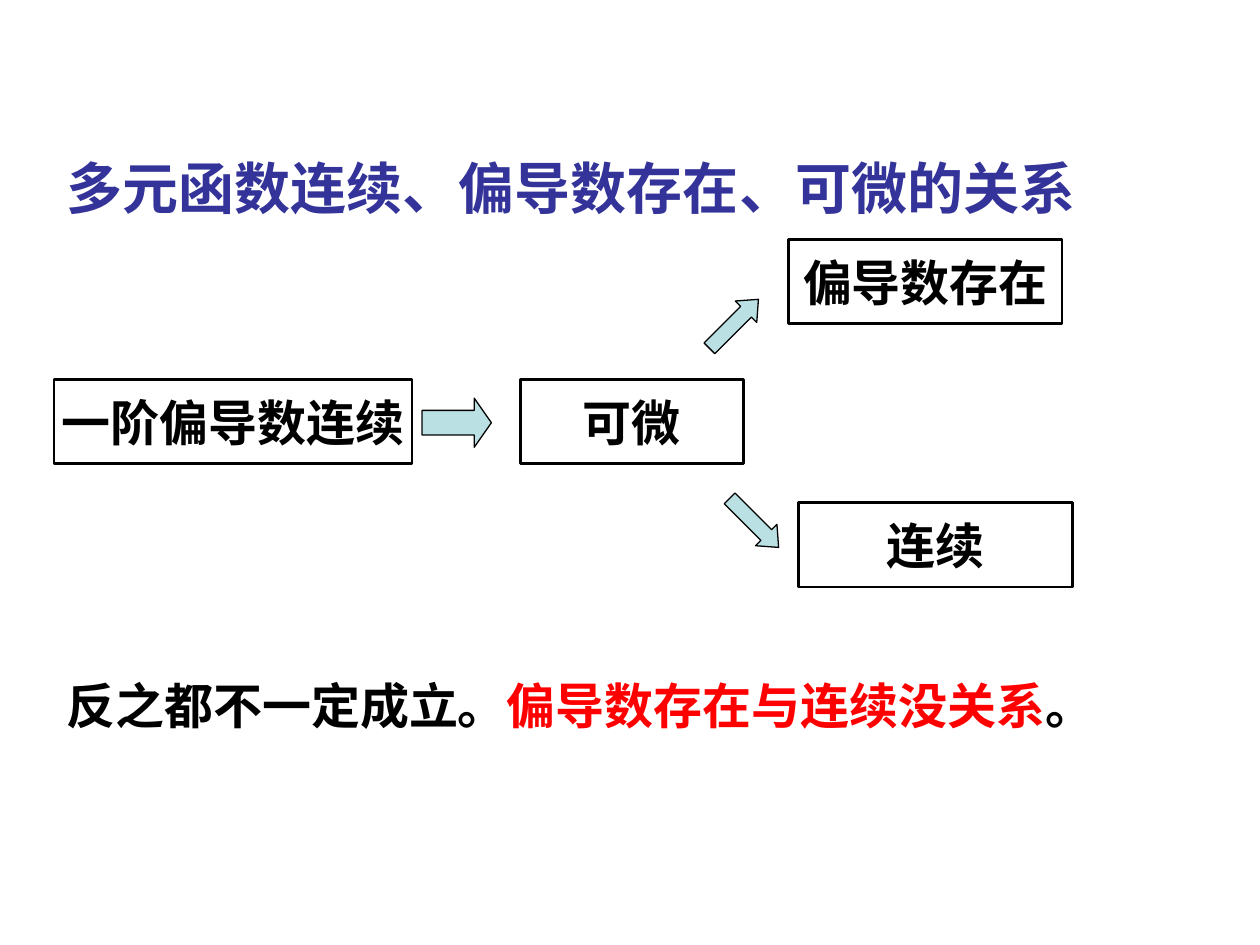
from dataclasses import dataclass

import pptx
import pptx.dml.color
import pptx.enum.shapes
import pptx.enum.text
import pptx.oxml.ns
import pptx.util
from lxml import etree

Inches, Pt = pptx.util.Inches, pptx.util.Pt
RGB = pptx.dml.color.RGBColor.from_string
SHAPE = pptx.enum.shapes.MSO_SHAPE
ALIGN = pptx.enum.text.PP_ALIGN
ANCHOR = pptx.enum.text.MSO_ANCHOR
AUTO_SIZE = pptx.enum.text.MSO_AUTO_SIZE


@dataclass(frozen=True)
class Theme:
    title_font: str = "Times New Roman"
    body_font: str = "Noto Sans CJK SC"
    title_size: int = 32
    body_size: int = 28
    title: str = "333399"
    ink: str = "000000"
    emphasis: str = "FF0000"
    arrow: str = "BBE0E3"


theme = Theme()


def style_run(run, size, color, latin=theme.body_font):
    """Format a bold run, with the body font for its Chinese characters."""
    run.font.name = latin
    run.font.size = Pt(size)
    run.font.bold = True
    run.font.color.rgb = RGB(color)
    east_asian = etree.SubElement(run.font._element, pptx.oxml.ns.qn("a:ea"))
    east_asian.set("typeface", theme.body_font)


def add_outlined(kind, left, top, width, height, line_width):
    shape = slide.shapes.add_shape(
        kind, Inches(left), Inches(top), Inches(width), Inches(height))
    shape.shadow.inherit = False
    shape.line.color.rgb = RGB(theme.ink)
    shape.line.width = Pt(line_width)
    return shape


prs = pptx.Presentation()
prs.slide_width, prs.slide_height = Inches(10), Inches(7.5)
slide = prs.slides.add_slide(prs.slide_layouts[5])

# Title
title = slide.shapes.title
title.left, title.top = Inches(0.43), Inches(1.17)
title.width, title.height = Inches(8.73), Inches(0.64)
title.text_frame.text = "多元函数连续、偏导数存在、可微的关系"
title.text_frame.word_wrap = True
title.text_frame.auto_size = AUTO_SIZE.SHAPE_TO_FIT_TEXT
title.text_frame.vertical_anchor = ANCHOR.TOP
heading = title.text_frame.paragraphs[0]
heading.alignment = ALIGN.LEFT
style_run(heading.runs[0], theme.title_size, theme.title, theme.title_font)

# Properties
for label, left, top, width in (
    ("偏导数存在", 6.26, 1.9, 2.17),
    ("可微", 4.13, 3.01, 1.77),
    ("一阶偏导数连续", 0.43, 3.01, 2.84),
    ("连续", 6.34, 3.99, 2.17),
):
    concept = add_outlined(SHAPE.RECTANGLE, left, top, width, 0.67, 1.5)
    concept.fill.background()
    concept.text_frame.text = label
    concept.text_frame.word_wrap = False
    concept.text_frame.vertical_anchor = ANCHOR.MIDDLE
    name = concept.text_frame.paragraphs[0]
    name.alignment = ALIGN.CENTER
    style_run(name.runs[0], theme.body_size, theme.ink)

# Implications between them
for left, top, height, rotation, head in (
    (3.35, 3.16, 0.39, 0, 0.35),
    (5.71, 4.03, 0.24, 45, 0.58),
    (5.55, 2.45, 0.24, 315, 0.58),
):
    implication = add_outlined(SHAPE.RIGHT_ARROW, left, top, 0.55, height, 0.75)
    implication.adjustments[0] = 0.5
    implication.adjustments[1] = head
    implication.rotation = rotation
    implication.fill.solid()
    implication.fill.fore_color.rgb = RGB(theme.arrow)

# Conclusion
conclusion = slide.shapes.add_textbox(
    Inches(0.43), Inches(5.31), Inches(8.43), Inches(0.57))
conclusion.text_frame.word_wrap = True
conclusion.text_frame.auto_size = AUTO_SIZE.SHAPE_TO_FIT_TEXT
for words, color in (
    ("反之都不一定成立。", theme.ink),
    ("偏导数存在与连续没关系", theme.emphasis),
    ("。", theme.ink),
):
    run = conclusion.text_frame.paragraphs[0].add_run()
    run.text = words
    style_run(run, theme.body_size, color)

prs.save("out.pptx")
